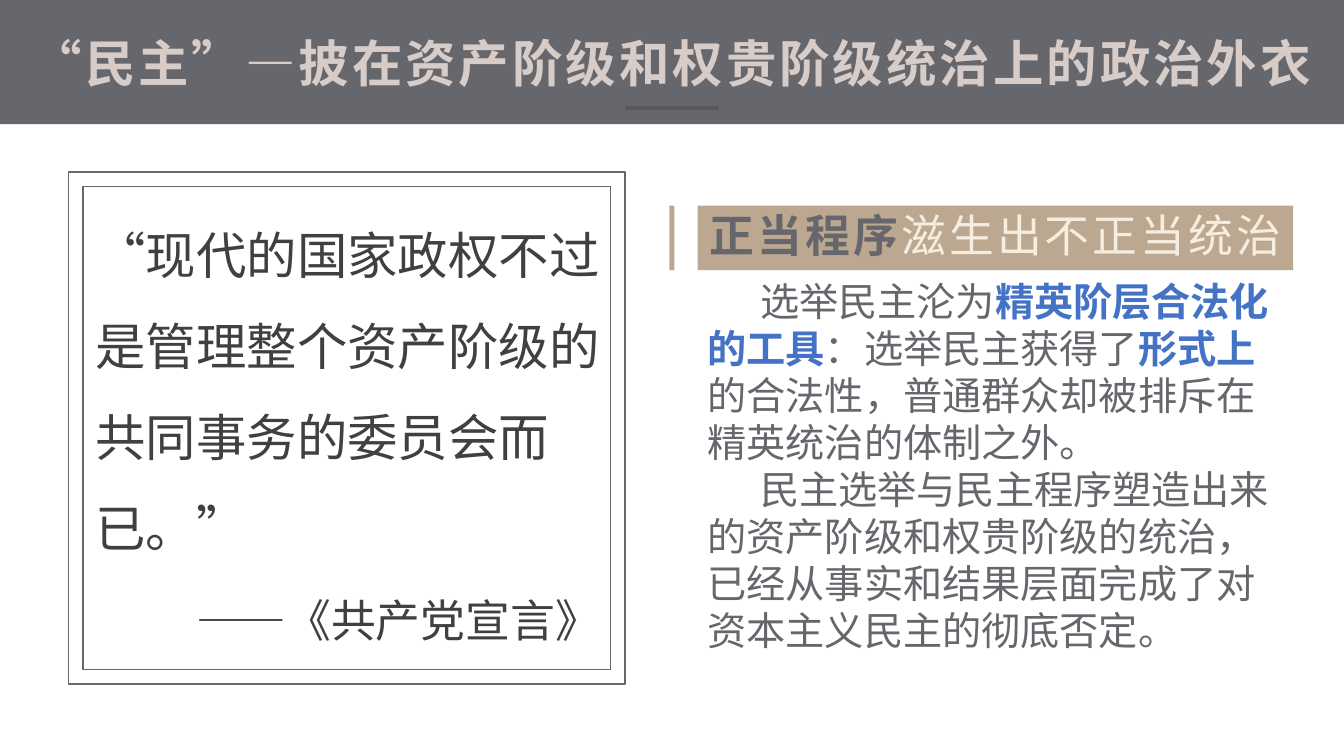
from dataclasses import dataclass
from lxml import etree
from pptx import Presentation, util as u
from pptx.dml.color import RGBColor
from pptx.enum import shapes, text
from pptx.oxml import ns


@dataclass(frozen=True)
class Theme:
    face: str = "Noto Sans CJK SC"
    slate: str = "66676C"
    tan: str = "BCA890"
    cream: str = "F6EDE1"
    rose: str = "D7CCC8"
    ink: str = "404040"
    rule: str = "595959"
    blue: str = "4472C4"
    large: int = 36
    mid: int = 32
    small: int = 28
    track: int = 220


THEME = Theme()
LEFT, RIGHT = text.PP_ALIGN.LEFT, text.PP_ALIGN.RIGHT
CENTER = text.PP_ALIGN.CENTER


def color(code):
    return RGBColor.from_string(code)


def block(slide, box, fill=None, line=None):
    shape = slide.shapes.add_shape(shapes.MSO_SHAPE.RECTANGLE, *map(u.Cm, box))
    shape.shadow.inherit = False
    if fill:
        shape.fill.solid()
        shape.fill.fore_color.rgb = color(fill)
    else:
        shape.fill.background()
    if line:
        shape.line.color.rgb = color(line)
        shape.line.width = u.Pt(1)
    else:
        shape.line.fill.background()


def label(slide, box):
    frame = slide.shapes.add_textbox(*map(u.Cm, box)).text_frame
    frame.word_wrap = True
    return frame


def write(para, parts, size, align=LEFT, track=0):
    para.alignment = align
    for words, tint, bold in parts:
        run = para.add_run()
        run.text = words
        font = run.font
        font.size, font.bold, font.name = u.Pt(size), bold, THEME.face
        font.color.rgb = color(tint)
        props = run._r.get_or_add_rPr()
        props.set("lang", "zh-CN")
        if track:
            props.set("spc", str(track))
        etree.SubElement(props, ns.qn("a:ea"), typeface=THEME.face)


def banner(slide, box):
    left, top, width, height = box
    block(slide, box, THEME.slate)
    mid, base = left + width / 2, top + height - 0.41
    ends = map(u.Cm, (mid - 1.18, base, mid + 1.18, base))
    rule = slide.shapes.add_connector(shapes.MSO_CONNECTOR.STRAIGHT, *ends)
    rule.line.color.rgb = color(THEME.rule)
    rule.line.width = u.Pt(2.25)
    etree.SubElement(rule._element.spPr, ns.qn("a:effectLst"))
    frame = label(slide, (left, top + 0.74, width, 1.8))
    title = "“民主”—披在资产阶级和权贵阶级统治上的政治外衣"
    write(frame.paragraphs[0], [(title, THEME.rose, True)],
          THEME.large, CENTER, THEME.track)


def quote(slide, box):
    left, top, width, height = box
    gap = 0.36
    block(slide, box, line=THEME.slate)
    block(slide, (left + gap, top + gap, width - 2 * gap, height - 2 * gap),
          line=THEME.slate)
    frame = label(slide, (left + 0.43, top + 0.43, width - 0.8, height - 0.8))
    lines = [
        ("“现代的国家政权不过是管理整个资产阶级的共同事务的委员会而已。”",
         THEME.large, LEFT),
        ("——《共产党宣言》", THEME.mid, RIGHT),
    ]
    for i, (words, size, align) in enumerate(lines):
        para = frame.add_paragraph() if i else frame.paragraphs[0]
        para.line_spacing = 1.5
        para.space_before = u.Pt(size * 0.2)
        write(para, [(words, THEME.ink, False)], size, align)


def heading(slide, box):
    left, top, width, height = box
    block(slide, (left - 0.71, top, 0.13, height), THEME.tan)
    block(slide, box, THEME.tan)
    frame = label(slide, (left - 0.58, top - 0.05, width + 1.17, height + 0.08))
    frame.margin_left = frame.margin_right = u.Cm(0.18)
    frame.margin_top = frame.margin_bottom = u.Cm(0.1)
    parts = [("正当程序", THEME.slate, True), ("滋生出不正当统治", THEME.cream, False)]
    write(frame.paragraphs[0], parts, THEME.mid, CENTER, THEME.track)


def body(slide, box):
    frame = label(slide, box)
    plain, key = (THEME.slate, False), (THEME.blue, True)
    paras = [
        [("选举民主沦为", *plain), ("精英阶层合法化的工具", *key),
         ("：选举民主获得了", *plain), ("形式上", *key),
         ("的合法性，普通群众却被排斥在精英统治的体制之外。", *plain)],
        [("民主选举与民主程序塑造出来的资产阶级和权贵阶级的统治，"
          "已经从事实和结果层面完成了对资本主义民主的彻底否定。", *plain)],
    ]
    for i, parts in enumerate(paras):
        para = frame.add_paragraph() if i else frame.paragraphs[0]
        para._p.get_or_add_pPr().set("indent", str(u.Cm(1.33)))
        write(para, parts, THEME.small)


def main():
    deck = Presentation()
    deck.slide_width, deck.slide_height = u.Cm(33.87), u.Cm(19.05)
    slide = deck.slides.add_slide(deck.slide_layouts[6])
    banner(slide, (0, -0.05, 33.87, 3.18))
    quote(slide, (1.73, 4.34, 14.02, 12.9))
    heading(slide, (17.58, 5.18, 15.01, 1.63))
    body(slide, (17.58, 6.86, 15.01, 9.83))
    deck.save("out.pptx")


if __name__ == "__main__":
    main()
